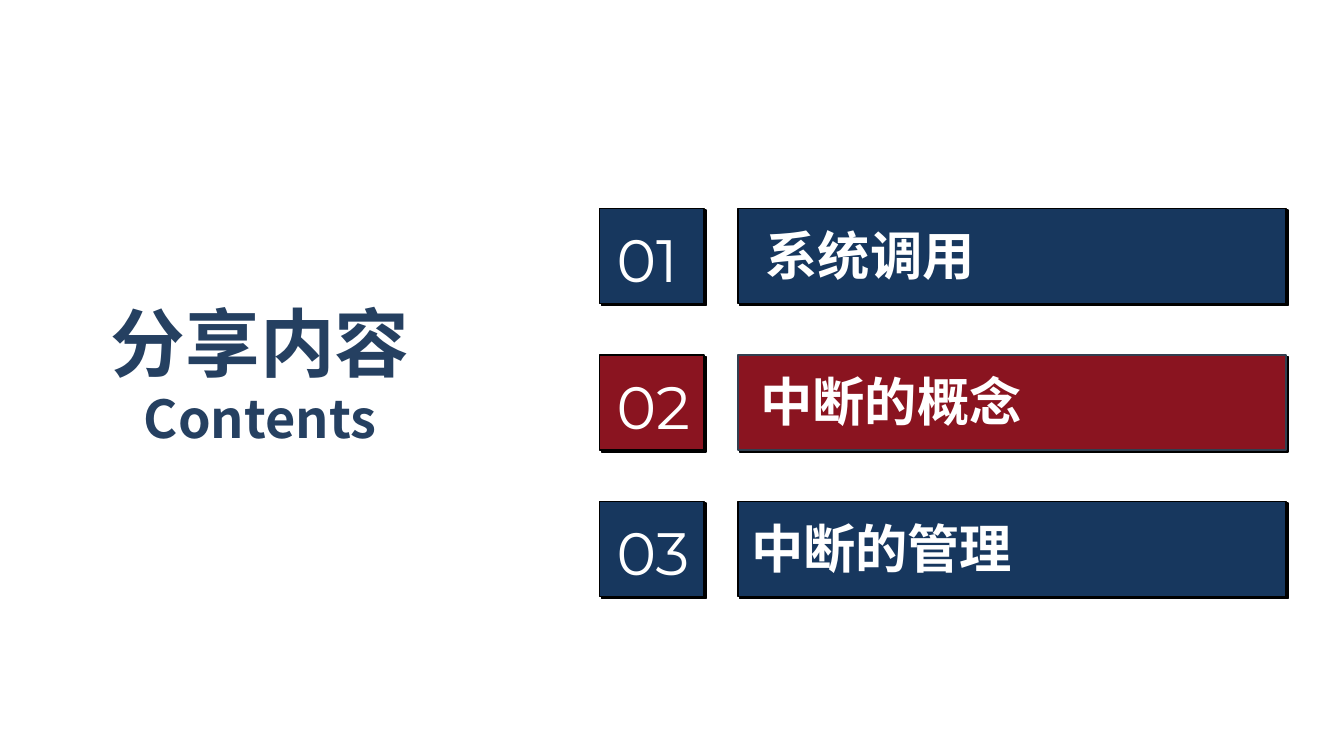
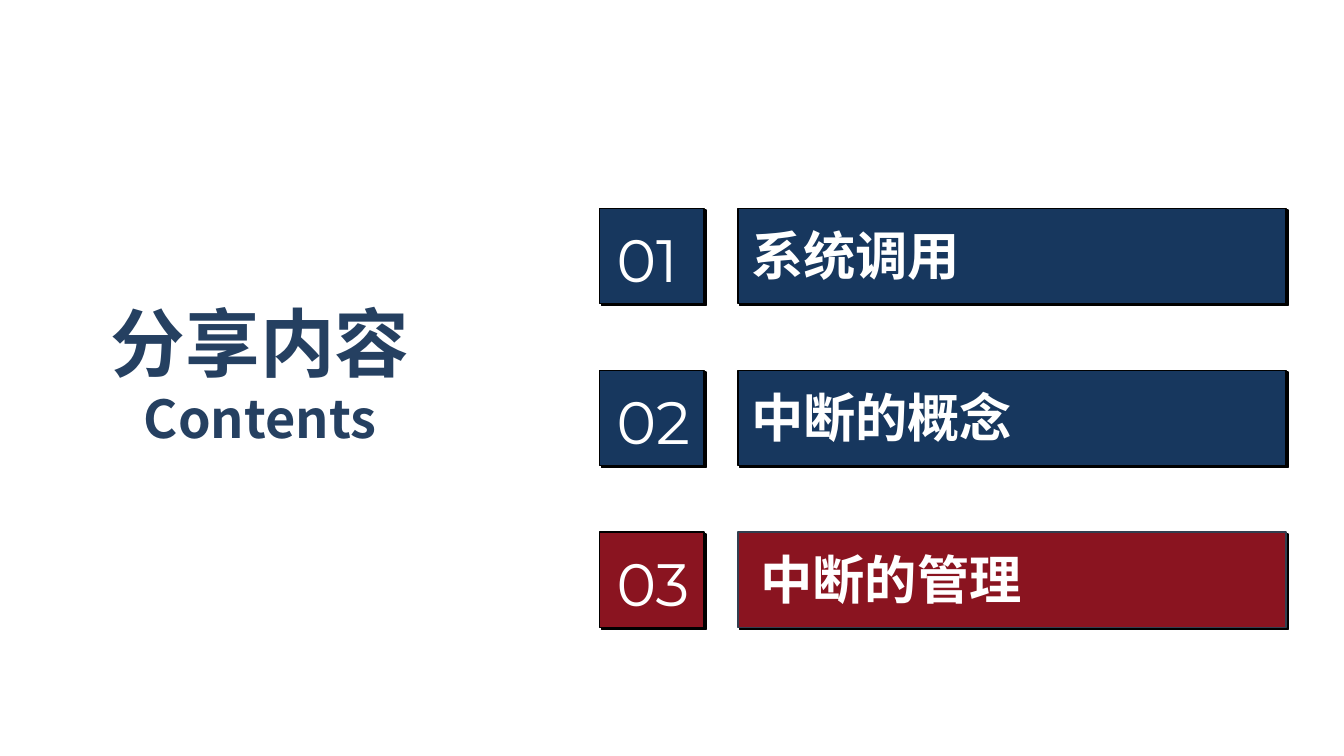
from dataclasses import dataclass

from lxml.etree import SubElement
from pptx import Presentation
from pptx.dml.color import RGBColor
from pptx.enum.shapes import MSO_SHAPE as Preset
from pptx.enum.text import MSO_ANCHOR as Anchor, MSO_AUTO_SIZE as AutoSize, PP_ALIGN as Align
from pptx.oxml.ns import qn
from pptx.util import Inches, Pt


@dataclass(frozen=True)
class Theme:
    navy: str = "17375E"
    red: str = "8A1420"
    title: str = "254061"
    slate: str = "323F4F"
    black: str = "000000"
    white: str = "FFFFFF"
    heading_font: str = "Noto Sans CJK SC"
    number_font: str = "Montserrat"
    title_size: int = 40
    label_size: int = 28
    number_size: int = 32
    line_width: float = 0.75
    shadow_offset: float = 1.4


TITLE_ONLY = 5
SLIDE_WIDTH = 10
FIRST_TOP = 1.55
ROW_HEIGHT = 0.71
NUMBER_LEFT, NUMBER_WIDTH = 4.46, 0.78
BAR_LEFT, BAR_WIDTH = 5.49, 4.08
TOPICS = ["系统调用", "中断的概念", "中断的管理"]
AGENDAS = [
    {"active": 1, "last_top": 3.73, "indents": [0.11, 0.07, 0]},
    {"active": 2, "last_top": 3.96, "indents": [0, 0, 0.07]},
]


class AgendaDeck:
    def __init__(self, theme):
        self.theme = theme
        self.deck = Presentation()
        self.deck.slide_width = Inches(SLIDE_WIDTH)
        self.deck.slide_height = Inches(SLIDE_WIDTH * 9 / 16)
        self.page = None

    def add_page(self):
        self.page = self.deck.slides.add_slide(self.deck.slide_layouts[TITLE_ONLY])

    def style(self, para, font, size, color, bold=False):
        for span in para.runs:
            span.font.name = font
            span.font.size = Pt(size)
            span.font.bold = bold
            span.font.color.rgb = RGBColor.from_string(color)
            SubElement(span.font._element, qn("a:ea"), typeface=font)

    def title(self, heading, subheading):
        theme = self.theme
        box = self.page.shapes.title
        box.left, box.top = Inches(0.71), Inches(2.16)
        box.width, box.height = Inches(2.45), Inches(1.25)
        frame = box.text_frame
        frame.text = f"{heading}\n{subheading}"
        frame.word_wrap = False
        frame.auto_size = AutoSize.SHAPE_TO_FIT_TEXT
        frame.vertical_anchor = Anchor.TOP
        for para, size in zip(frame.paragraphs, (theme.title_size, theme.label_size)):
            para.alignment = Align.CENTER
            self.style(para, theme.heading_font, size, theme.title, True)

    def panel(self, left, top, width, fill, line):
        box = self.page.shapes.add_shape(
            Preset.RECTANGLE, Inches(left), Inches(top), Inches(width), Inches(ROW_HEIGHT))
        box.fill.solid()
        box.fill.fore_color.rgb = RGBColor.from_string(fill)
        box.line.color.rgb = RGBColor.from_string(line)
        box.line.width = Pt(self.theme.line_width)
        box.shadow.inherit = False
        effects = box._element.spPr.find(qn("a:effectLst"))
        shadow = SubElement(
            effects, qn("a:outerShdw"), blurRad="0", dist=str(Pt(self.theme.shadow_offset)),
            dir="2700000", algn="tl", rotWithShape="0")
        SubElement(shadow, qn("a:srgbClr"), val=self.theme.black)

    def text(self, left, top, width, height, words, font, size, bold=False):
        box = self.page.shapes.add_textbox(
            Inches(left), Inches(top), Inches(width), Inches(height))
        frame = box.text_frame
        frame.word_wrap = True
        frame.auto_size = AutoSize.SHAPE_TO_FIT_TEXT
        frame.text = words
        self.style(frame.paragraphs[0], font, size, self.theme.white, bold)

    def agenda_row(self, number, topic, top, indent, active):
        theme = self.theme
        fill = theme.red if active else theme.navy
        bar_line = theme.slate if active else theme.black
        text_top = top + 0.06
        self.panel(NUMBER_LEFT, top, NUMBER_WIDTH, fill, theme.black)
        self.text(NUMBER_LEFT + 0.03, text_top, 0.84, 0.64, f"{number:02}",
                  theme.number_font, theme.number_size)
        self.panel(BAR_LEFT, top, BAR_WIDTH, fill, bar_line)
        self.text(BAR_LEFT + indent, text_top, 4.28 - indent, 0.57, topic,
                  theme.heading_font, theme.label_size, True)

    def agenda(self, active, last_top, indents):
        self.add_page()
        self.title("分享内容", "Contents")
        pitch = (last_top - FIRST_TOP) / (len(TOPICS) - 1)
        for index, (topic, indent) in enumerate(zip(TOPICS, indents)):
            self.agenda_row(index + 1, topic, FIRST_TOP + index * pitch, indent, index == active)


def main():
    builder = AgendaDeck(Theme())
    for agenda in AGENDAS:
        builder.agenda(**agenda)
    builder.deck.save("out.pptx")


if __name__ == "__main__":
    main()
